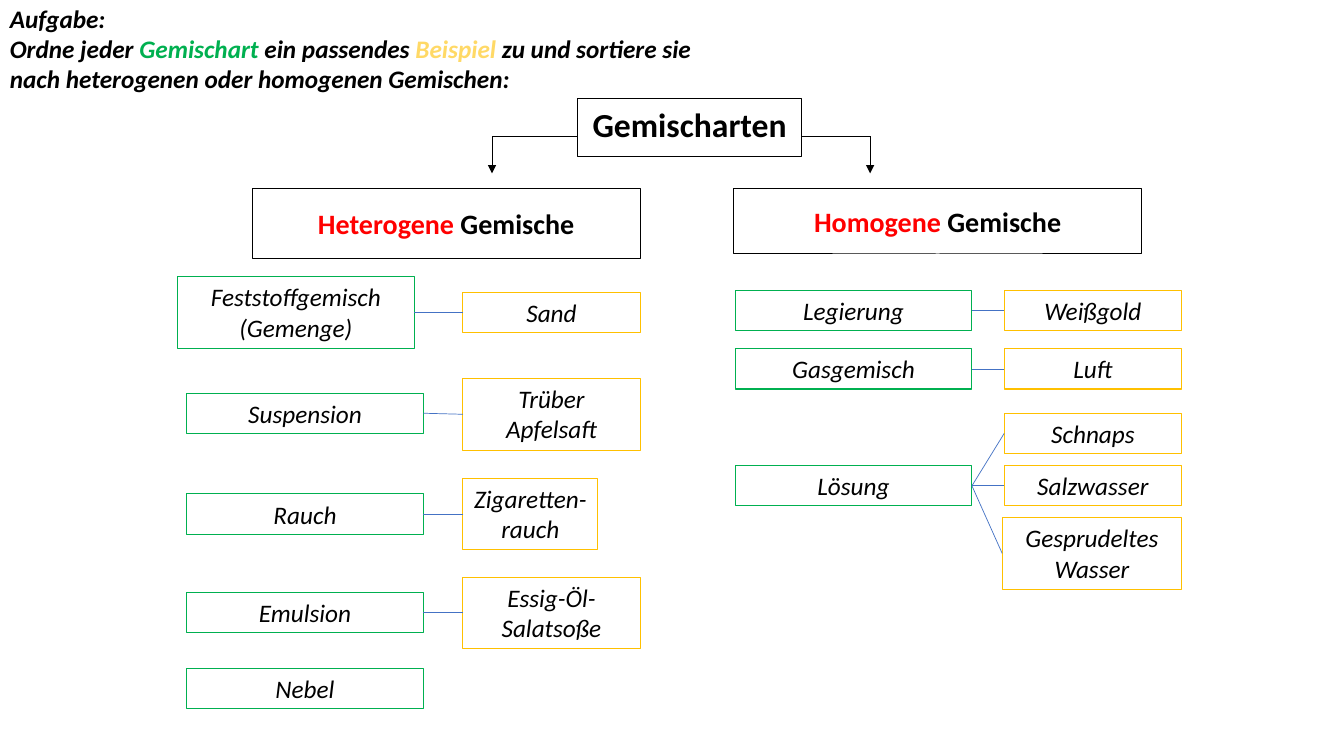
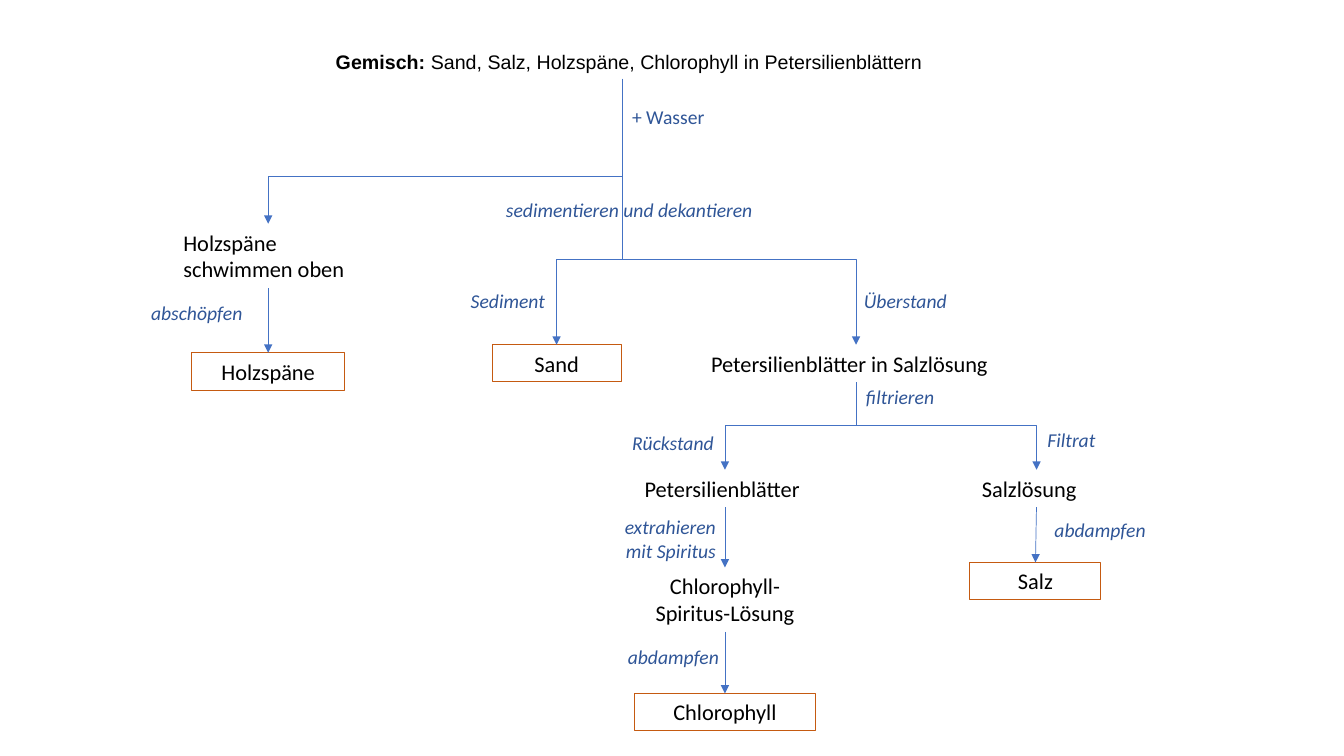
from dataclasses import dataclass
from typing import NamedTuple, Optional

from lxml import etree
from pptx import Presentation
from pptx import util as u
from pptx.dml.color import RGBColor
from pptx.enum import shapes, text
from pptx.oxml.ns import qn

Inches = u.Inches
LEFT, CENTER, RIGHT = text.PP_ALIGN.LEFT, text.PP_ALIGN.CENTER, text.PP_ALIGN.RIGHT
TOP, MIDDLE = text.MSO_ANCHOR.TOP, text.MSO_ANCHOR.MIDDLE
STRAIGHT, ELBOW = shapes.MSO_CONNECTOR.STRAIGHT, shapes.MSO_CONNECTOR.ELBOW
SITE_TOP, SITE_LEFT, SITE_BOTTOM, SITE_RIGHT = range(4)


@dataclass(frozen=True)
class Theme:
    black: str = "000000"
    white: str = "FFFFFF"
    red: str = "FF0000"
    green: str = "00B050"
    amber: str = "FFC000"
    pale_amber: str = "FFD966"
    blue: str = "4472C4"
    dark_blue: str = "2F5597"
    orange: str = "C55A11"
    body_font: str = "Calibri"
    mixture_font: str = "Arial"
    title: int = 24
    heading: int = 20
    card: int = 18
    station: int = 16
    label: int = 14
    border: float = 0.75
    thin: float = 0.5


T = Theme()


class Run(NamedTuple):
    text: str
    size: int
    color: str = T.black
    bold: bool = False
    italic: bool = False
    font: str = T.body_font


class Box(NamedTuple):
    left: float
    top: float
    width: float
    height: float


class Point(NamedTuple):
    x: float
    y: float


class Card(NamedTuple):
    text: str
    middle: float
    lines: int = 1
    width: float = 0
    shift: float = 0


class Pair(NamedTuple):
    kind: Card
    examples: list[Card]


class Station(NamedTuple):
    name: str
    center: float
    top: float
    width: float
    height: float = 0.37
    result: bool = False
    align: text.PP_ALIGN = LEFT


class Branch(NamedTuple):
    start: Point
    name: str
    down_first: bool = False


class Label(NamedTuple):
    text: str
    left: float
    top: float
    width: float = 1.41
    height: float = 0.34
    align: text.PP_ALIGN = LEFT
    italic: bool = True


# Shared drawing functions
def rgb(color: str) -> RGBColor:
    return RGBColor.from_string(color)


def write(sp, paragraphs: list[list[Run]], align=LEFT, anchor=TOP) -> None:
    tf = sp.text_frame
    tf.word_wrap = True
    tf.auto_size = text.MSO_AUTO_SIZE.NONE
    tf.vertical_anchor = anchor
    for i, runs in enumerate(paragraphs):
        p = tf.add_paragraph() if i else tf.paragraphs[0]
        p.alignment = align
        for run in runs:
            r = p.add_run()
            r.text = run.text
            r.font.name = run.font
            r.font.size = u.Pt(run.size)
            r.font.bold = run.bold
            r.font.italic = run.italic
            r.font.color.rgb = rgb(run.color)


def outline(sp, color: str, fill: Optional[str] = None) -> None:
    if fill:
        sp.fill.solid()
        sp.fill.fore_color.rgb = rgb(fill)
    else:
        sp.fill.background()
    sp.line.color.rgb = rgb(color)
    sp.line.width = u.Pt(T.border)


def add_text(s, box: Box, paragraphs: list[list[Run]], align=LEFT) -> object:
    sp = s.shapes.add_textbox(*map(Inches, box))
    write(sp, paragraphs, align)
    return sp


def add_frame(s, box: Box, runs: list[Run], color: str,
              fill: Optional[str] = None, anchor=TOP):
    sp = s.shapes.add_shape(shapes.MSO_SHAPE.RECTANGLE, *map(Inches, box))
    sp.shadow.inherit = False
    outline(sp, color, fill)
    write(sp, [runs], CENTER, anchor)
    return sp


def place_title(s, box: Box, runs: list[Run], align=LEFT, anchor=TOP):
    sp = s.shapes.title
    sp.left, sp.top, sp.width, sp.height = map(Inches, box)
    write(sp, [runs], align, anchor)
    return sp


def add_line(s, start: Point, end: Point, color: str = T.blue, width: float = T.thin,
             arrow: bool = False, kind=STRAIGHT):
    line = s.shapes.add_connector(kind, *map(Inches, (*start, *end)))
    line.line.color.rgb = rgb(color)
    line.line.width = u.Pt(width)
    if arrow:
        etree.SubElement(line.line._get_or_add_ln(), qn("a:tailEnd"), type="triangle")
    etree.SubElement(line._element.spPr, qn("a:effectLst"))
    return line


def add_elbow(s, start: Point, end: Point, down_first: bool) -> None:
    """Bend once (sideways, down) or twice (down, left, down)."""
    if down_first:
        # A quarter turn swaps the sides of the frame around its centre
        mid = Point((start.x + end.x) / 2, (start.y + end.y) / 2)
        half_w, half_h = (end.y - start.y) / 2, (start.x - end.x) / 2
        line = add_line(s, Point(mid.x - half_w, mid.y - half_h),
                        Point(mid.x + half_w, mid.y + half_h), arrow=True, kind=ELBOW)
        line._element.spPr.find(qn("a:xfrm")).set("rot", "5400000")
        return
    left, right = sorted((start.x, end.x))
    line = add_line(s, Point(left, start.y), Point(right, end.y), arrow=True, kind=ELBOW)
    spPr = line._element.spPr
    spPr.find(qn("a:prstGeom")).set("prst", "bentConnector2")
    if end.x < start.x:
        spPr.find(qn("a:xfrm")).set("rot", "10800000")
        spPr.find(qn("a:xfrm")).set("flipV", "1")


# Slide 1: kinds of mixtures
KIND_WIDTH, EXAMPLE_WIDTH = 2.35, 1.76
HETEROGENEOUS = [
    Pair(Card("Feststoffgemisch (Gemenge)", 3.1, 2, shift=-0.09), [Card("Sand", 3.1)]),
    Pair(Card("Suspension", 4.1), [Card("Trüber Apfelsaft", 4.11, 2)]),
    Pair(Card("Rauch", 5.1), [Card("Zigaretten-rauch", 5.1, 2, 1.34)]),
    Pair(Card("Emulsion", 6.08), [Card("Essig-Öl-Salatsoße", 6.08, 2)]),
    Pair(Card("Nebel", 6.83), []),
]
HOMOGENEOUS = [
    Pair(Card("Legierung", 3.08), [Card("Weißgold", 3.08)]),
    Pair(Card("Gasgemisch", 3.66), [Card("Luft", 3.66)]),
    Pair(Card("Lösung", 4.82), [Card("Schnaps", 4.3), Card("Salzwasser", 4.82),
                                Card("Gesprudeltes Wasser", 5.49, 2, 1.78, -0.02)]),
]


def add_card(s, card: Card, left: float, width: float, color: str):
    height = 0.4 if card.lines == 1 else 0.71
    box = Box(left + card.shift, card.middle - height / 2, card.width or width, height)
    return add_frame(s, box, [Run(card.text, T.card, italic=True)], color)


def add_pairs(s, pairs: list[Pair], kind_left: float, example_left: float) -> None:
    for kind, examples in pairs:
        kind_sp = add_card(s, kind, kind_left, KIND_WIDTH, T.green)
        for example in examples:
            example_sp = add_card(s, example, example_left, EXAMPLE_WIDTH, T.amber)
            line = add_line(s, Point(kind_left + KIND_WIDTH, kind.middle),
                            Point(example_left, example.middle))
            line.begin_connect(kind_sp, SITE_RIGHT)
            line.end_connect(example_sp, SITE_LEFT)


def build_kinds(prs) -> None:
    s = prs.slides.add_slide(prs.slide_layouts[5])
    title = place_title(s, Box(5.73, 0.98, 2.22, 0.57),
                        [Run("Gemischarten", T.title, bold=True)], CENTER)
    outline(title, T.black, T.white)

    # Task
    def task(words: str, color: str = T.black) -> Run:
        return Run(words, T.card, color, bold=True, italic=True)

    add_text(s, Box(0, -0.02, 7.37, 1.01), [
        [task("Aufgabe:")],
        [task("Ordne jeder "), task("Gemischart", T.green), task(" ein passendes "),
         task("Beispiel ", T.pale_amber),
         task("zu und sortiere sie nach heterogenen oder homogenen Gemischen:")],
    ])

    # Two headings with the arrows that lead to them
    for word, box, start_x, end_x in (
            ("Heterogene", Box(2.5, 1.87, 3.85, 0.69), 5.73, 4.88),
            ("Homogene", Box(7.28, 1.87, 4.04, 0.65), 7.95, 8.63)):
        add_frame(s, box, [Run(word, T.heading, T.red, bold=True),
                           Run(" Gemische", T.heading, bold=True)],
                  T.black, T.white, MIDDLE)
        corner = Point(end_x, 1.35)
        add_line(s, Point(start_x, 1.35), corner, T.black, T.border)
        add_line(s, corner, Point(end_x, 1.72), T.black, T.border, arrow=True)

    # Kinds and examples
    add_pairs(s, HETEROGENEOUS, 1.85, 4.59)
    add_pairs(s, HOMOGENEOUS, 7.29, 9.96)


# Slide 2: separating a mixture
TRUNK_X, FILTER_X = 6.17, 8.49
FLOATING = "Holzspäne schwimmen oben"
SUPERNATANT = "Petersilienblätter in Salzlösung"
EXTRACT = "Chlorophyll-Spiritus-Lösung"
STATIONS = [
    Station(FLOATING, 2.66, 2.22, 1.88, 0.64),
    Station("Holzspäne", 2.66, 3.5, 1.52, result=True),
    Station("Sand", 5.52, 3.42, 1.28, result=True),
    Station(SUPERNATANT, FILTER_X, 3.42, 3.07),
    Station("Petersilienblätter", 7.19, 4.66, 1.79),
    Station("Salzlösung", 10.28, 4.66, 1.28),
    Station(EXTRACT, 7.19, 5.63, 1.79, 0.64, align=CENTER),
    Station("Salz", 10.27, 5.58, 1.3, result=True),
    Station("Chlorophyll", 7.19, 6.88, 1.79, result=True),
]
DROPS = [(FLOATING, "Holzspäne"), ("Petersilienblätter", EXTRACT),
         ("Salzlösung", "Salz"), (EXTRACT, "Chlorophyll")]
BRANCHES = [
    Branch(Point(TRUNK_X, 1.75), FLOATING),
    Branch(Point(TRUNK_X, 1.72), "Sand", down_first=True),
    Branch(Point(TRUNK_X, 2.57), SUPERNATANT),
    Branch(Point(FILTER_X, 3.79), "Petersilienblätter", down_first=True),
    Branch(Point(FILTER_X, 4.22), "Salzlösung"),
]
LABELS = [
    Label("+ Wasser", 6.17, 0.99, 1.69, italic=False),
    Label("sedimentieren und dekantieren", 4.92, 1.91, 3.5),
    Label("abschöpfen", 1.4, 2.94),
    Label("Sediment", 4.57, 2.82),
    Label("Überstand", 8.47, 2.82),
    Label("filtrieren", 8.49, 3.77),
    Label("Rückstand", 6.17, 4.23),
    Label("Filtrat", 10.29, 4.2),
    Label("extrahieren mit Spiritus", 6, 5.06, 1.2, 0.57, RIGHT),
    Label("abdampfen", 10.36, 5.09),
    Label("abdampfen", 5.82, 6.35, align=RIGHT),
]


def add_station(s, st: Station):
    box = Box(st.center - st.width / 2, st.top, st.width, st.height)
    runs = [Run(st.name, T.station)]
    if st.result:
        return add_frame(s, box, runs, T.orange)
    return add_text(s, box, [runs], st.align)


def build_separation(prs) -> None:
    s = prs.slides.add_slide(prs.slide_layouts[5])
    place_title(s, Box(3.23, 0.43, 6.3, 0.36), [
        Run("Gemisch:", T.label, bold=True, font=T.mixture_font),
        Run(" Sand, Salz, Holzspäne, Chlorophyll in Petersilienblättern",
            T.label, font=T.mixture_font)], anchor=MIDDLE)

    # Stations
    stations = {st.name: st for st in STATIONS}
    drawn = {st.name: add_station(s, st) for st in STATIONS}

    # Trunk, branches and straight drops
    add_line(s, Point(TRUNK_X, 0.78), Point(TRUNK_X, 1.76))
    for start, name, down_first in BRANCHES:
        add_elbow(s, start, Point(stations[name].center, stations[name].top), down_first)
    for upper, lower in DROPS:
        a, b = stations[upper], stations[lower]
        arrow = add_line(s, Point(a.center, a.top + a.height),
                         Point(b.center, b.top), arrow=True)
        arrow.begin_connect(drawn[upper], SITE_BOTTOM)
        arrow.end_connect(drawn[lower], SITE_TOP)

    # Steps
    for lb in LABELS:
        add_text(s, Box(lb.left, lb.top, lb.width, lb.height),
                 [[Run(lb.text, T.label, T.dark_blue, italic=lb.italic)]], lb.align)


def main() -> None:
    prs = Presentation()
    prs.slide_width, prs.slide_height = Inches(13.33), Inches(7.5)
    build_kinds(prs)
    build_separation(prs)
    prs.save("out.pptx")


if __name__ == "__main__":
    main()
